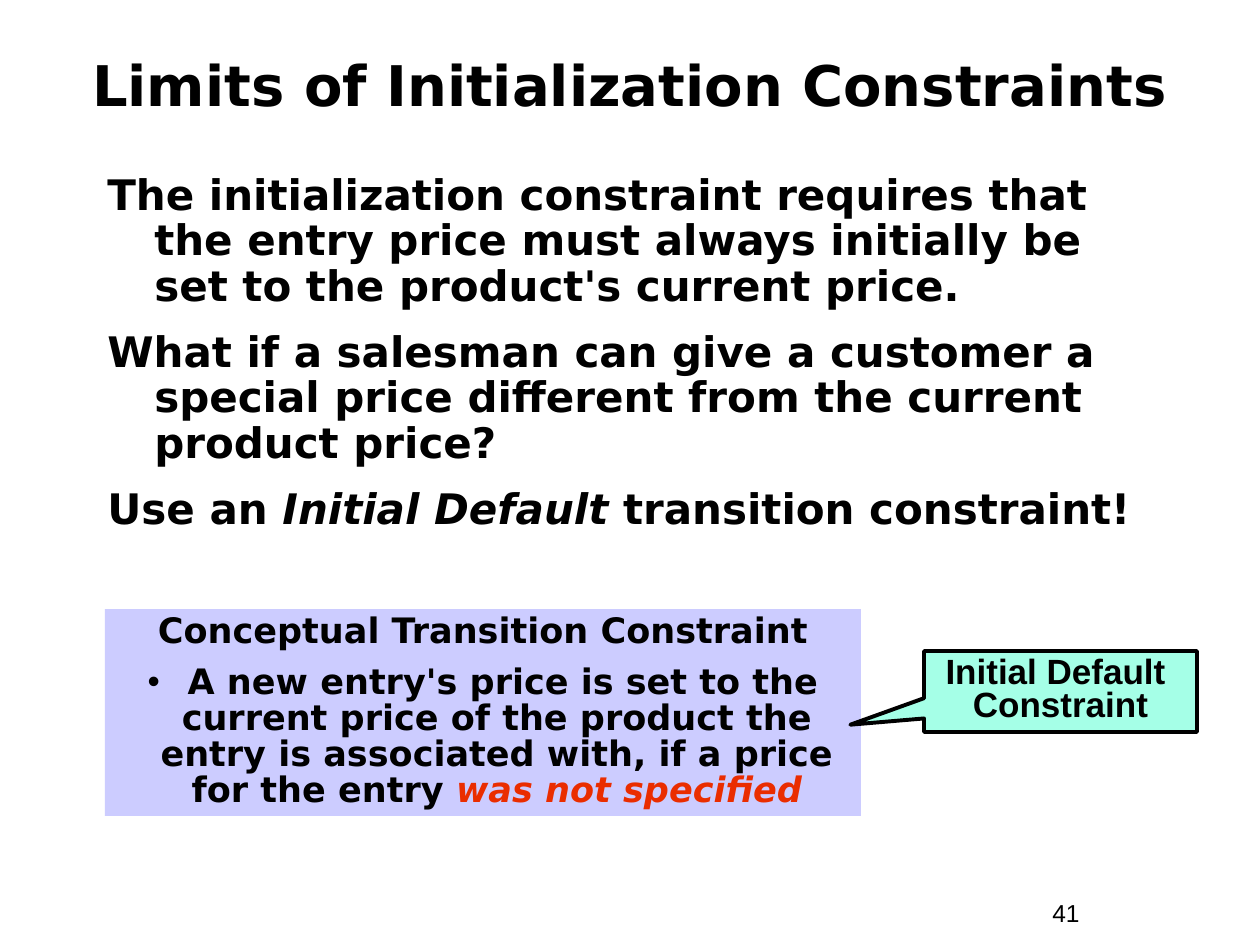
from lxml import etree
from pptx import Presentation
from pptx.dml.color import RGBColor
from pptx.enum.shapes import MSO_SHAPE
from pptx.enum.text import MSO_ANCHOR, PP_ALIGN
from pptx.oxml.ns import qn
from pptx.util import Pt

RECTANGLE, CALLOUT = MSO_SHAPE.RECTANGLE, MSO_SHAPE.RECTANGULAR_CALLOUT
TOP, MIDDLE = MSO_ANCHOR.TOP, MSO_ANCHOR.MIDDLE
LEFT, CENTER = PP_ALIGN.LEFT, PP_ALIGN.CENTER

PX = 914400 / 126
COLORS = {"text": "000000", "panel": "CCCCFF", "callout": "A5FFE7", "accent": "EA2D00"}
SANS, ARIAL = "DejaVu Sans", "Arial"


def px(length):
    return round(length * PX)


def rgb(name):
    return RGBColor.from_string(COLORS[name])


def add_box(slide, box, preset=None, fill=None):
    """Place a text box, or a filled preset shape, at (left, top, width, height)."""
    place = [px(length) for length in box]
    if preset is None:
        return slide.shapes.add_textbox(*place)
    shape = slide.shapes.add_shape(preset, *place)
    shape.shadow.inherit = False
    shape.fill.solid()
    shape.fill.fore_color.rgb = rgb(fill)
    shape.line.fill.background()
    return shape


def set_indent(paragraph, hanging, bullet=None):
    props = paragraph._p.get_or_add_pPr()
    props.set("marL", str(px(hanging)))
    props.set("indent", str(-px(hanging)))
    if bullet:
        color = etree.SubElement(props, qn("a:buClr"))
        etree.SubElement(color, qn("a:srgbClr"), val=COLORS["text"])
        etree.SubElement(props, qn("a:buFont"), typeface=ARIAL)
        etree.SubElement(props, qn("a:buChar"), char=bullet)


def write(shape, paragraphs, size, font=SANS, bold=True, align=LEFT,
          anchor=TOP, line=1.0, gap=0):
    """Fill a shape; each paragraph is a list of (text, italic, color) runs."""
    frame = shape.text_frame
    frame.word_wrap = True
    frame.vertical_anchor = anchor
    for index, parts in enumerate(paragraphs):
        paragraph = frame.paragraphs[0] if index == 0 else frame.add_paragraph()
        paragraph.alignment = align
        paragraph.line_spacing = line
        if index:
            paragraph.space_before = Pt(gap)
        for text, italic, color in parts:
            run = paragraph.add_run()
            run.text = text
            run.font.name, run.font.size = font, Pt(size)
            run.font.bold, run.font.italic = bold, italic
            run.font.color.rgb = rgb(color)
    return frame.paragraphs


def plain(text):
    return (text, False, "text")


def add_title(slide, box):
    write(add_box(slide, box), [[plain("Limits of Initialization Constraints")]],
          32, align=CENTER, anchor=MIDDLE)


def add_body(slide, box):
    points = [
        [plain("The initialization constraint requires that the entry price must "
               "always initially be set to the product's current price.")],
        [plain("What if a salesman can give a customer a special price different "
               "from the current product price?")],
        [plain("Use an "), ("Initial Default", True, "text"),
         plain(" transition constraint!")],
    ]
    for paragraph in write(add_box(slide, box), points, 24, line=0.9, gap=12):
        set_indent(paragraph, 47)


def add_constraint(slide, box):
    left, top, width, height = box

    # Panel with heading and rule
    panel = add_box(slide, (left, top, 756, height), RECTANGLE, "panel")
    heading, rule = write(panel, [
        [plain("Conceptual Transition Constraint")],
        [plain(" A new entry's price is set to the current price of the product the "
               "entry is associated with, if a price for the entry "),
         ("was not specified", True, "accent")],
    ], 20, align=CENTER, line=0.85, gap=8.8)
    set_indent(rule, 28, "•")

    # Callout pointing at the panel
    callout_width = 273
    callout = add_box(slide, (left + width - callout_width, top + 42, callout_width, 81),
                      CALLOUT, "callout")
    callout.adjustments[0], callout.adjustments[1] = -0.77, 0.41
    callout.line.color.rgb = rgb("text")
    callout.line.width = Pt(2.25)
    label = write(callout, [[]], 20, align=CENTER, line=0.8)[0]
    label.text = "Initial Default \vConstraint"
    for run in label.runs:
        run.font.name, run.font.size, run.font.bold = ARIAL, Pt(20), True
        run.font.color.rgb = rgb("text")


def add_page_number(slide, box):
    write(add_box(slide, box), [[plain("41")]], 14, font=ARIAL, bold=False)


def main():
    deck = Presentation()
    deck.slide_width, deck.slide_height = px(1260), px(945)
    slide = deck.slides.add_slide(deck.slide_layouts[6])
    add_page_number(slide, (1040, 892, 116, 43))
    add_title(slide, (42, 42, 1176, 84))
    add_body(slide, (95, 168, 1071, 494))
    add_constraint(slide, (105, 609, 1092, 207))
    deck.save("out.pptx")


if __name__ == "__main__":
    main()
